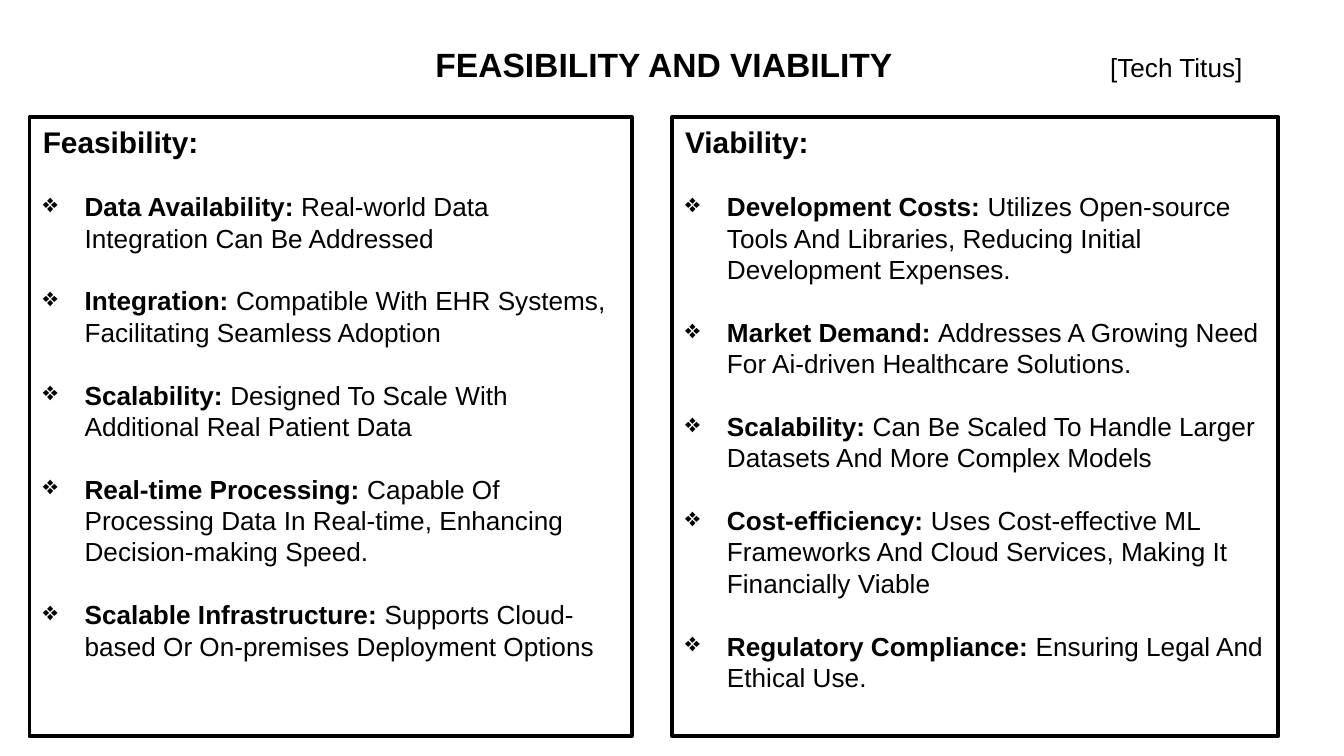
import pptx
import pptx.dml.color
import pptx.enum.shapes
import pptx.enum.text
import pptx.oxml.ns
import pptx.util
from lxml import etree
from pptx.util import Cm

INK, PAPER = "000000", "FFFFFF"
HEAD = {"name": "Arial", "size": pptx.util.Pt(16), "bold": True}
BOLD = {**HEAD, "size": pptx.util.Pt(14)}
BODY = {**BOLD, "bold": False}
TITLE = {**HEAD, "size": pptx.util.Pt(18)}
LINE = pptx.util.Pt(16.8)
ITEM = {"line_spacing": LINE, "space_before": LINE}

FEASIBLE = [
    ("Data Availability:", "Real-world Data Integration Can Be Addressed"),
    ("Integration:", "Compatible With EHR Systems, Facilitating Seamless Adoption"),
    ("Scalability:", "Designed To Scale With Additional Real Patient Data"),
    ("Real-time Processing:", "Capable Of Processing Data In Real-time, "
     "Enhancing Decision-making Speed."),
    ("Scalable Infrastructure:", "Supports Cloud-based Or On-premises Deployment Options"),
]
VIABLE = [
    ("Development Costs:", "Utilizes Open-source Tools And Libraries, "
     "Reducing Initial Development Expenses."),
    ("Market Demand:", "Addresses A Growing Need For Ai-driven Healthcare Solutions."),
    ("Scalability:", "Can Be Scaled To Handle Larger Datasets And More Complex Models"),
    ("Cost-efficiency:", "Uses Cost-effective ML Frameworks And Cloud Services, "
     "Making It Financially Viable"),
    ("Regulatory Compliance:", "Ensuring Legal And Ethical Use."),
]


def tint(code):
    """Return the colour for a hex string."""
    return pptx.dml.color.RGBColor.from_string(code)


def apply(item, form):
    """Set each attribute named in a dict."""
    for name, value in form.items():
        setattr(item, name, value)


def write(para, text, form):
    """Add a run of text in the given format."""
    run = para.add_run()
    run.text = text
    apply(run.font, form)
    run.font.color.rgb = tint(INK)


def bullet(para):
    """Give a paragraph a hanging diamond bullet."""
    props = para._p.get_or_add_pPr()
    props.set("marL", str(Cm(0.79)))
    props.set("indent", str(-Cm(0.79)))
    mark = etree.SubElement(props, pptx.oxml.ns.qn("a:buChar"))
    mark.set("char", "❖")


def label(slide, box, text, form):
    """Place one line of text in a box."""
    frame = slide.shapes.add_textbox(*map(Cm, box)).text_frame
    apply(frame, {"word_wrap": True, "margin_left": Cm(0.25), "margin_right": Cm(0.25),
                  "margin_top": Cm(0.33), "margin_bottom": Cm(0.25)})
    write(frame.paragraphs[0], text, form)


def panel(slide, box, head, items):
    """Place a framed panel with a heading and bulleted points."""
    kind = pptx.enum.shapes.MSO_SHAPE.RECTANGLE
    shape = slide.shapes.add_shape(kind, *map(Cm, box))
    shape.shadow.inherit = False
    shape.fill.solid()
    shape.fill.fore_color.rgb = tint(PAPER)
    shape.line.color.rgb = tint(INK)
    shape.line.width = pptx.util.Pt(2)
    frame = shape.text_frame
    apply(frame, {"word_wrap": True, "vertical_anchor": pptx.enum.text.MSO_ANCHOR.TOP})
    left = {"alignment": pptx.enum.text.PP_ALIGN.LEFT}
    apply(frame.paragraphs[0], left)
    write(frame.paragraphs[0], head, HEAD)
    for name, text in items:
        para = frame.add_paragraph()
        apply(para, {**left, **ITEM})
        bullet(para)
        write(para, name + " ", BOLD)
        write(para, text, BODY)


def main():
    """Build and save the slide."""
    deck = pptx.Presentation()
    apply(deck, {"slide_width": Cm(25.4), "slide_height": Cm(14.29)})
    slide = deck.slides.add_slide(deck.slide_layouts[6])
    label(slide, (20.73, 0.64, 3.81, 1.04), "[Tech Titus]", BODY)
    label(slide, (7.98, 0.51, 9.37, 1.27), "FEASIBILITY AND VIABILITY", TITLE)
    panel(slide, (0.56, 2.21, 11.38, 11.71), "Feasibility:", FEASIBLE)
    panel(slide, (12.7, 2.21, 11.46, 11.71), "Viability:", VIABLE)
    deck.save("out.pptx")


if __name__ == "__main__":
    main()
